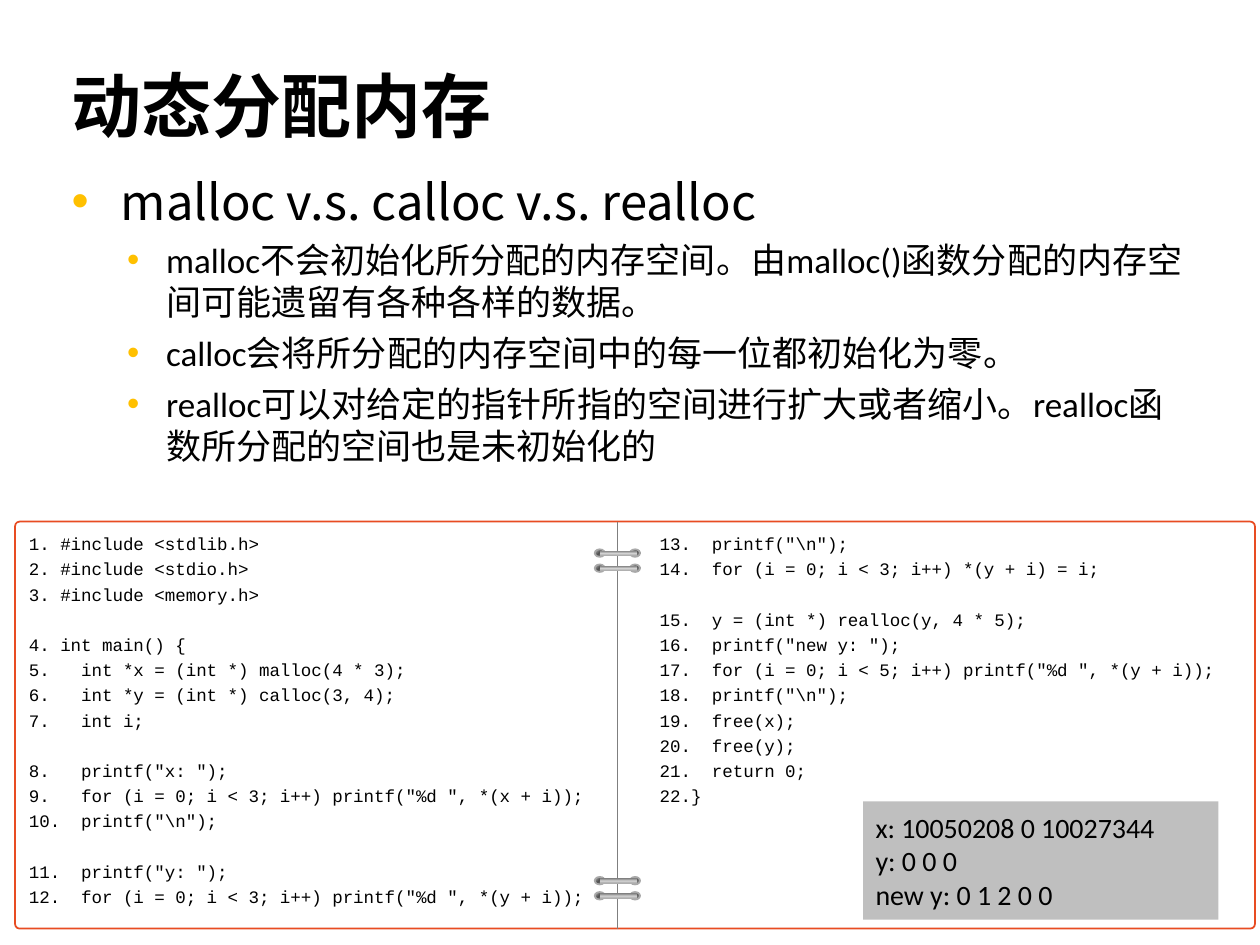
from dataclasses import dataclass

import pptx
import pptx.dml.color
import pptx.enum.shapes
import pptx.enum.text
import pptx.oxml
import pptx.oxml.ns
import pptx.util
from lxml import etree

COLORS = {
    "text": "000000",
    "bullet": "FFC000",
    "panel": "FFFFFF",
    "border": "E84C22",
    "fold": "7F7F7F",
    "output": "BFBFBF",
    "ring": "A9A9A9",
}
HOLE_STOPS = ((20, "808080"), (51, "525252"), (86, "A5A5A5"))
BAR_STOPS = ((9, "808080"), (57, "D2D2D2"), (98, "AEAEAE"))
BODY_FONT, HEAD_FONT, CODE_FONT = "Calibri", "Noto Sans CJK SC", "Courier New"
UNIT = 0.1  # inches in one grid column or row
COLUMNS, ROWS = 100, 75
CODE_LINE = 14.4  # points taken by one line of code


@dataclass(frozen=True)
class Box:
    """A place on the grid."""
    column: float
    row: float
    width: float
    height: float

    def lengths(self) -> list:
        return [grid(n) for n in (self.column, self.row, self.width, self.height)]


@dataclass(frozen=True)
class Bullet:
    text: str
    size: int
    font: str
    margin: float
    hang: float
    before: float
    spacing: float = 1.0


BULLETS = (
    Bullet("malloc v.s. calloc v.s. realloc", 28, HEAD_FONT, 3.9, 3.9, 0, 0.85),
    *(Bullet(text, 20, BODY_FONT, 7.5, 3.1, 5) for text in (
        "malloc不会初始化所分配的内存空间。由malloc()函数分配的内存空间可能遗留有各种各样的数据。",
        "calloc会将所分配的内存空间中的每一位都初始化为零。",
        "realloc可以对给定的指针所指的空间进行扩大或者缩小。realloc函数所分配的空间也是未初始化的",
    )),
)

CODE_BLOCKS = (
    ("#include <stdlib.h>", "#include <stdio.h>", "#include <memory.h>"),
    ("int main() {", "  int *x = (int *) malloc(4 * 3);",
     "  int *y = (int *) calloc(3, 4);", "  int i;"),
    ('  printf("x: ");', '  for (i = 0; i < 3; i++) printf("%d ", *(x + i));',
     '  printf("\\n");'),
    ('  printf("y: ");', '  for (i = 0; i < 3; i++) printf("%d ", *(y + i));',
     '  printf("\\n");', "  for (i = 0; i < 3; i++) *(y + i) = i;"),
    ("  y = (int *) realloc(y, 4 * 5);", '  printf("new y: ");',
     '  for (i = 0; i < 5; i++) printf("%d ", *(y + i));', '  printf("\\n");',
     "  free(x);", "  free(y);", "  return 0;", "}"),
)
OUTPUT = ("x: 10050208 0 10027344", "y: 0 0 0", "new y: 0 1 2 0 0")

PANEL = Box(1.2, 41.4, 98.4, 32.3)
FOLD_COLUMN = 49
RING_PAIR_ROWS = (43.6, 69.6)
RING_STEP = 1.2


def grid(count: float) -> int:
    return pptx.util.Inches(count * UNIT)


def color(name: str) -> pptx.dml.color.RGBColor:
    return pptx.dml.color.RGBColor.from_string(COLORS[name])


def add_element(parent, tag: str, **attributes: str):
    element = etree.SubElement(parent, pptx.oxml.ns.qn(tag))
    for key, value in attributes.items():
        element.set(key, value)
    return element


def add_run(paragraph, text: str, size: float, font: str, bold: bool = False) -> None:
    run = paragraph.add_run()
    run.text = text
    run.font.size = pptx.util.Pt(size)
    run.font.bold = bold
    run.font.color.rgb = color("text")
    run.font.name = font
    add_element(run.font._element, "a:ea", typeface=font)


def next_paragraph(frame, index: int):
    paragraph = frame.add_paragraph() if index else frame.paragraphs[0]
    paragraph.alignment = pptx.enum.text.PP_ALIGN.LEFT
    return paragraph


def set_indent(paragraph, margin: float, hang: float):
    properties = paragraph._p.get_or_add_pPr()
    properties.set("marL", str(grid(margin)))
    properties.set("indent", str(-grid(hang)))
    return properties


def add_shape(shapes, kind: str, box: Box, fill: str = ""):
    shape_type = getattr(pptx.enum.shapes.MSO_SHAPE, kind)
    shape = shapes.add_shape(shape_type, *box.lengths())
    shape.shadow.inherit = False
    shape.line.fill.background()
    if fill:
        shape.fill.solid()
        shape.fill.fore_color.rgb = color(fill)
    return shape


def set_gradient(shape, stops: tuple, circle: bool) -> None:
    shape.fill.gradient()
    gradient = shape._element.spPr.find(pptx.oxml.ns.qn("a:gradFill"))
    for child in list(gradient):
        gradient.remove(child)
    stop_list = add_element(gradient, "a:gsLst")
    for position, value in stops:
        stop = add_element(stop_list, "a:gs", pos=str(position * 1000))
        add_element(stop, "a:srgbClr", val=value)
    if circle:
        shade = add_element(gradient, "a:path", path="circle")
        add_element(shade, "a:fillToRect", l="100000", t="100000")
    else:
        add_element(gradient, "a:lin", ang="5400000", scaled="0")


def add_ring(shapes, row: float) -> None:
    for column in (FOLD_COLUMN + 1, FOLD_COLUMN - 1.8):
        hole = add_shape(shapes, "OVAL", Box(column, row, 0.8, 0.6))
        set_gradient(hole, HOLE_STOPS, True)
        hole.line.color.rgb = color("ring")
        hole.line.width = pptx.util.Pt(1)
    bar = add_shape(shapes, "RECTANGLE", Box(FOLD_COLUMN - 1.4, row + 0.1, 3, 0.4))
    set_gradient(bar, BAR_STOPS, False)


def add_title(slide, text: str) -> None:
    title = slide.shapes.title
    title.left, title.top, title.width, title.height = Box(4.7, 4.7, 90.6, 7.5).lengths()
    frame = title.text_frame
    frame.auto_size = pptx.enum.text.MSO_AUTO_SIZE.NONE
    frame.vertical_anchor = pptx.enum.text.MSO_ANCHOR.BOTTOM
    paragraph = next_paragraph(frame, 0)
    paragraph.line_spacing = 0.9
    add_run(paragraph, text, 40, BODY_FONT, True)


def add_bullets(slide) -> None:
    frame = slide.shapes.add_textbox(*Box(4.7, 13.8, 90.6, 55.1).lengths()).text_frame
    frame.word_wrap = True
    for index, bullet in enumerate(BULLETS):
        paragraph = next_paragraph(frame, index)
        properties = set_indent(paragraph, bullet.margin, bullet.hang)
        add_element(add_element(properties, "a:buClr"), "a:srgbClr", val=COLORS["bullet"])
        add_element(properties, "a:buFont", typeface="Arial")
        add_element(properties, "a:buChar", char="•")
        paragraph.line_spacing = bullet.spacing
        paragraph.space_before = pptx.util.Pt(bullet.before)
        add_run(paragraph, bullet.text, bullet.size, bullet.font)


def add_code_panel(slide) -> None:
    panel = add_shape(slide.shapes, "ROUNDED_RECTANGLE", PANEL, "panel")
    panel.adjustments[0] = 0.011
    panel.line.color.rgb = color("border")
    panel.line.width = pptx.util.Pt(1)
    frame = panel.text_frame
    frame.word_wrap = True
    frame.vertical_anchor = pptx.enum.text.MSO_ANCHOR.TOP
    frame._txBody.bodyPr.set("numCol", "2")
    frame._txBody.bodyPr.set("spcCol", str(grid(3.9)))
    lines = [(block, number, line) for block, code in enumerate(CODE_BLOCKS)
             for number, line in enumerate(code)]
    for index, (block, number, line) in enumerate(lines):
        paragraph = next_paragraph(frame, index)
        add_element(set_indent(paragraph, 2.5, 2.5), "a:buAutoNum", type="arabicPeriod")
        paragraph.line_spacing = 1.2
        paragraph.space_before = pptx.util.Pt(CODE_LINE if block and not number else 0)
        add_run(paragraph, line, 10, CODE_FONT)


def add_binding(slide) -> None:
    fold = slide.shapes.add_connector(
        pptx.enum.shapes.MSO_CONNECTOR.STRAIGHT, grid(FOLD_COLUMN), grid(PANEL.row),
        grid(FOLD_COLUMN), grid(PANEL.row + PANEL.height))
    fold.line.color.rgb = color("fold")
    fold.line.width = pptx.util.Pt(0.5)
    add_element(fold._element.spPr, "a:effectLst")
    for row in RING_PAIR_ROWS:
        pair = slide.shapes.add_group_shape()
        for step in range(2):
            add_ring(pair.shapes, row + step * RING_STEP)


def add_output(slide) -> None:
    output = add_shape(slide.shapes, "RECTANGLE", Box(68.5, 63.6, 28.2, 9.4), "output")
    frame = output.text_frame
    frame.word_wrap = True
    frame.auto_size = pptx.enum.text.MSO_AUTO_SIZE.SHAPE_TO_FIT_TEXT
    for index, line in enumerate(OUTPUT):
        add_run(next_paragraph(frame, index), line, 16, BODY_FONT)


def main() -> None:
    presentation = pptx.Presentation()
    presentation.slide_width, presentation.slide_height = grid(COLUMNS), grid(ROWS)
    slide = presentation.slides.add_slide(presentation.slide_layouts[5])
    # Heading and explanation
    add_title(slide, "动态分配内存")
    add_bullets(slide)
    # Notebook with code, and what the program prints
    add_code_panel(slide)
    add_binding(slide)
    add_output(slide)
    presentation.save("out.pptx")


if __name__ == "__main__":
    main()
